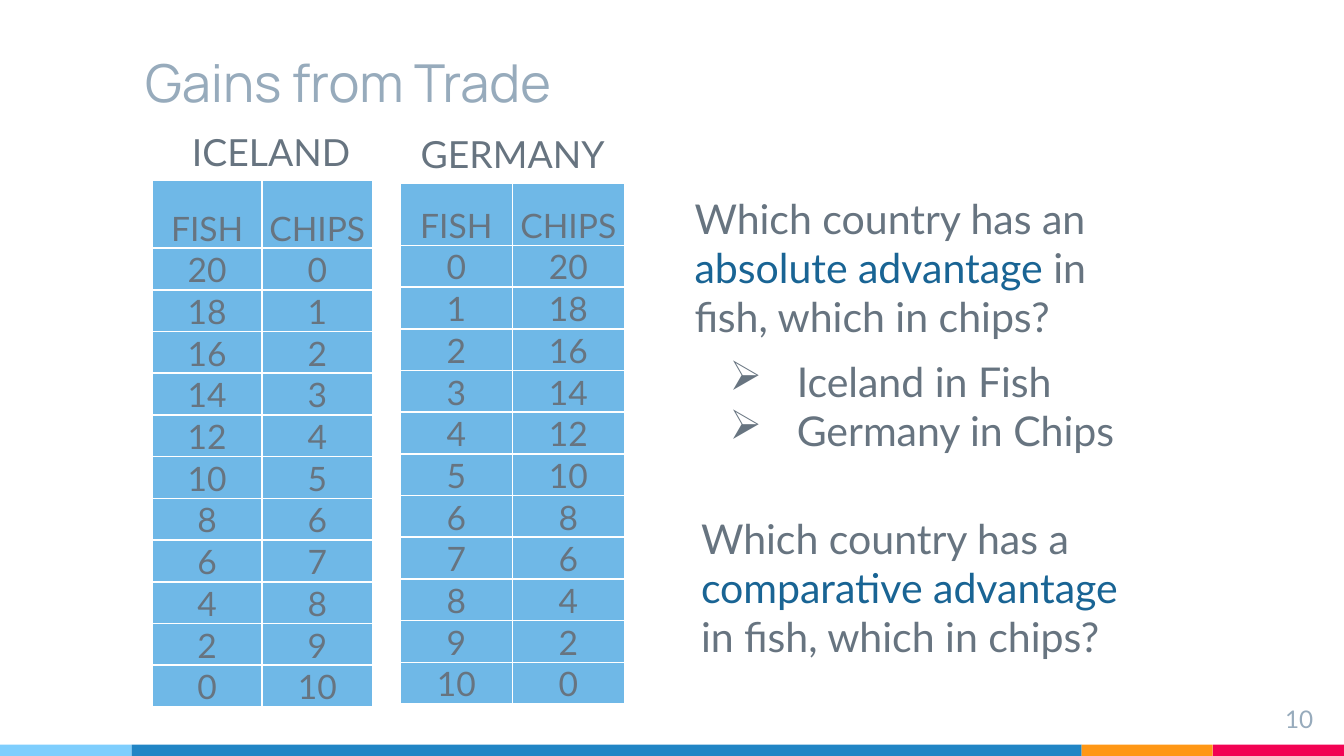
from lxml import etree
from pptx import Presentation
from pptx.dml import color
from pptx.enum import shapes, text
from pptx.oxml import ns
from pptx.util import Pt

GREY = "677480"
PALE_GREY = "97ABBC"
ACCENT = "196494"
CELL_BLUE = "6FB8E7"
WHITE = "FFFFFF"
BODY_FONT = "Lato"
ROW_HEIGHT = 22.15


def rgb(value):
    return color.RGBColor.from_string(value)


def format_run(run, size, hex_color, font=BODY_FONT):
    run.font.size = Pt(size)
    run.font.name = font
    run.font.color.rgb = rgb(hex_color)


def add_title(slide, title):
    shape = slide.shapes.title
    shape.left, shape.top, shape.width, shape.height = Pt(70.5), Pt(26), Pt(509), Pt(41.5)
    frame = shape.text_frame
    frame.text = title
    frame.auto_size = text.MSO_AUTO_SIZE.NONE
    frame.vertical_anchor = text.MSO_ANCHOR.BOTTOM
    frame.margin_left = frame.margin_right = frame.margin_top = frame.margin_bottom = Pt(7.2)
    paragraph = frame.paragraphs[0]
    paragraph.alignment = text.PP_ALIGN.LEFT
    format_run(paragraph.runs[0], 28, PALE_GREY, "Manrope")


def add_footer_bars(slide):
    left = 0
    for width, fill in ((70.5, "7ECEFD"), (509, "2185C5"), (70.25, "FF9715"), (70.25, "F20253")):
        bar = slide.shapes.add_shape(shapes.MSO_SHAPE.RECTANGLE, Pt(left), Pt(399), Pt(width), Pt(6))
        bar.shadow.inherit = False
        bar.fill.solid()
        bar.fill.fore_color.rgb = rgb(fill)
        bar.line.fill.background()
        left += width


def add_text(slide, box, paragraphs, size, hex_color=GREY, wrap=True):
    shape = slide.shapes.add_textbox(*map(Pt, box))
    frame = shape.text_frame
    frame.word_wrap = wrap
    for index, pieces in enumerate(paragraphs):
        paragraph = frame.add_paragraph() if index else frame.paragraphs[0]
        for wording, run_color in pieces:
            run = paragraph.add_run()
            run.text = wording
            format_run(run, size, run_color or hex_color)
    return shape


def add_question(slide, box, opening, term):
    pieces = [(opening, None), (term, ACCENT), ("in fish, which in chips?", None)]
    add_text(slide, box, [pieces], 22)


def add_bullets(slide, box, items):
    shape = add_text(slide, box, [[(item, None)] for item in items], 22)
    for paragraph in shape.text_frame.paragraphs:
        properties = paragraph._p.get_or_add_pPr()
        properties.set("marL", str(Pt(36)))
        properties.set("indent", str(Pt(-36)))
        etree.SubElement(properties, ns.qn("a:buChar")).set("char", "➢")


def add_borders(cell):
    properties = cell._tc.get_or_add_tcPr()
    for side in ("lnL", "lnR", "lnT", "lnB"):
        line = etree.SubElement(properties, ns.qn(f"a:{side}"), w=str(Pt(1)))
        fill = etree.SubElement(line, ns.qn("a:solidFill"))
        etree.SubElement(fill, ns.qn("a:srgbClr"), val=WHITE)


def format_cell(cell, value):
    add_borders(cell)
    cell.fill.solid()
    cell.fill.fore_color.rgb = rgb(CELL_BLUE)
    cell.margin_left = cell.margin_right = cell.margin_top = Pt(0.72)
    cell.margin_bottom = 0
    cell.vertical_anchor = text.MSO_ANCHOR.BOTTOM
    cell.text_frame.text = str(value)
    paragraph = cell.text_frame.paragraphs[0]
    paragraph.alignment = text.PP_ALIGN.CENTER
    format_run(paragraph.runs[0], 18, GREY)


def add_output_table(slide, left, top, column_width, header_height, outputs):
    rows = [("FISH", "CHIPS"), *outputs]
    height = header_height + ROW_HEIGHT * len(outputs)
    frame = slide.shapes.add_table(len(rows), 2, Pt(left), Pt(top), Pt(2 * column_width), Pt(height))
    table = frame.table
    for column in table.columns:
        column.width = Pt(column_width)
    for index, values in enumerate(rows):
        table.rows[index].height = Pt(ROW_HEIGHT if index else header_height)
        for column_index, value in enumerate(values):
            format_cell(table.cell(index, column_index), value)


def main():
    presentation = Presentation()
    presentation.slide_width, presentation.slide_height = Pt(720), Pt(405)
    slide = presentation.slides.add_slide(presentation.slide_layouts[5])

    add_footer_bars(slide)
    add_title(slide, "Gains from Trade")
    number = add_text(slide, (667.5, 370, 43, 24.5), [[("10", None)]], 13, PALE_GREY)
    number.text_frame.margin_top = Pt(7.2)
    number.text_frame.paragraphs[0].alignment = text.PP_ALIGN.RIGHT

    iceland = [(20 - 2 * chips, chips) for chips in range(11)]
    germany = [(fish, 20 - 2 * fish) for fish in range(11)]
    add_output_table(slide, 81.5, 96.5, 59, 36.5, iceland)
    add_output_table(slide, 214.5, 98, 60, 33.5, germany)
    add_text(slide, (95.75, 65.5, 101, 31.5), [[("ICELAND", None)]], 20, wrap=False)
    add_text(slide, (218.25, 66.5, 114.5, 31.5), [[("GERMANY", None)]], 20, wrap=False)

    add_question(slide, (365, 100, 250.5, 87), "Which country has an ", "absolute advantage ")
    add_question(slide, (368.5, 271.5, 252.5, 87), "Which country has a ", "comparative advantage ")
    add_bullets(slide, (383.75, 187.25, 222.5, 60.5), ["Iceland in Fish", "Germany in Chips"])

    presentation.save("out.pptx")


if __name__ == "__main__":
    main()
